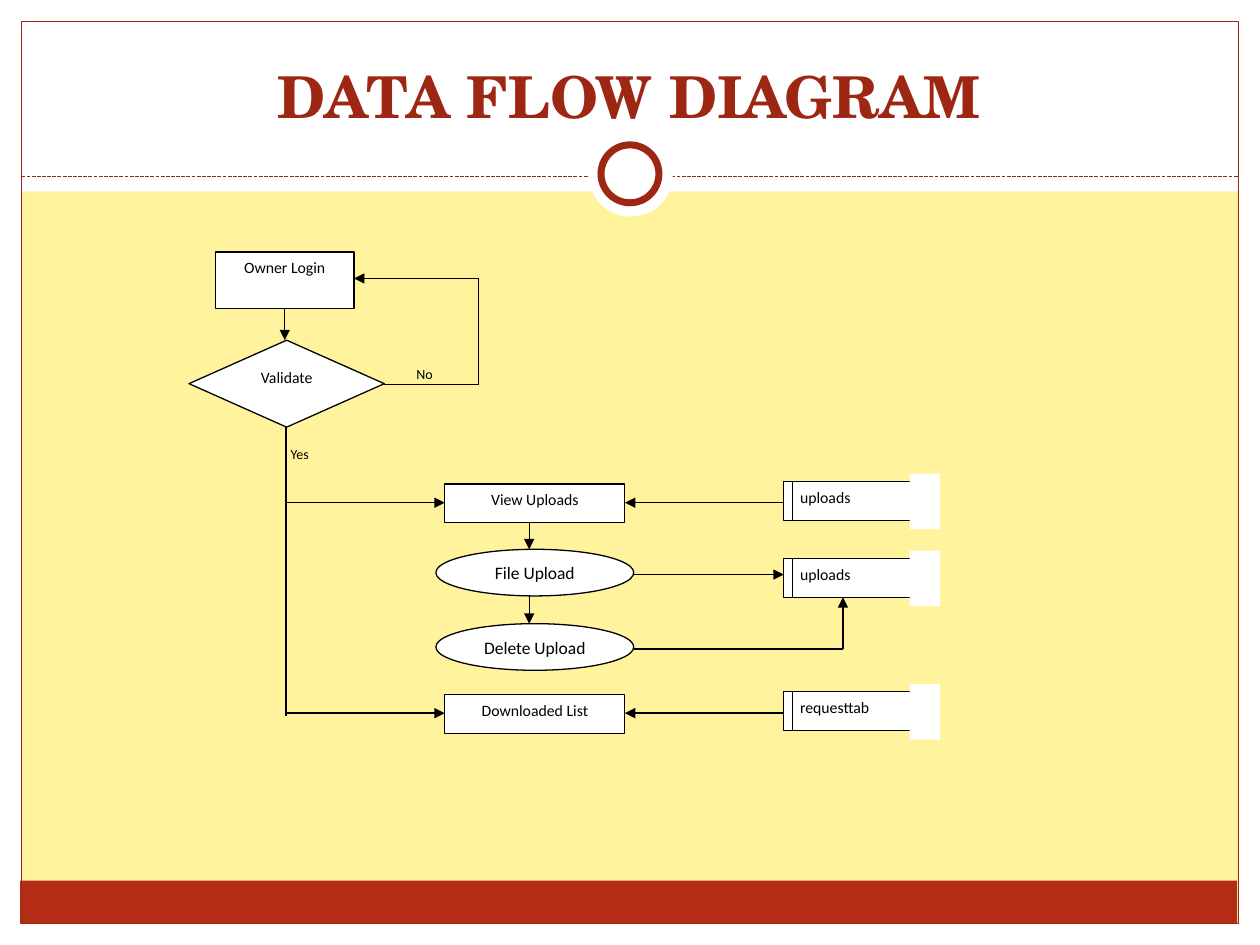
from lxml.etree import SubElement
from pptx import Presentation
from pptx.dml.color import RGBColor
from pptx.enum.dml import MSO_LINE
from pptx.enum.shapes import MSO_CONNECTOR, MSO_SHAPE
from pptx.enum.text import MSO_ANCHOR, PP_ALIGN
from pptx.oxml.ns import qn
from pptx.util import Inches, Pt

COLORS = {
    "paper": "FFF39D",
    "white": "FFFFFF",
    "band": "B32C16",
    "accent": "9E2713",
    "ink": "000000",
}
BODY_FONT = "Calibri"
TITLE_FONT = "TeX Gyre Schola"
STORE_LEFT, STORE_WIDTH, STORE_HEIGHT = 6.22, 1.1, 0.31


def color(name):
    return RGBColor.from_string(COLORS[name])


def format_font(font, **values):
    for name, value in values.items():
        setattr(font, name, value)


def add_box(slide, kind, bounds, fill="white", line=None, line_width=0.75):
    shape = slide.shapes.add_shape(kind, *map(Inches, bounds))
    shape.shadow.inherit = False
    if fill:
        shape.fill.solid()
        shape.fill.fore_color.rgb = color(fill)
    else:
        shape.fill.background()
    if line:
        shape.line.color.rgb = color(line)
        shape.line.width = Pt(line_width)
    else:
        shape.line.fill.background()
    return shape


def write_text(shape, text, size, align=PP_ALIGN.CENTER, left_margin=0.1):
    frame = shape.text_frame
    frame.word_wrap = True
    frame.vertical_anchor = MSO_ANCHOR.TOP
    frame.margin_left = Inches(left_margin)
    paragraph = frame.paragraphs[0]
    paragraph.alignment = align
    paragraph.space_after = Pt(10)
    run = paragraph.add_run()
    run.text = text
    format_font(run.font, name=BODY_FONT, size=Pt(size))
    run.font.color.rgb = color("ink")


def add_node(slide, kind, bounds, text, size=9):
    write_text(add_box(slide, kind, bounds, line="ink"), text, size)


def add_label(slide, left, top, text):
    label = slide.shapes.add_textbox(*map(Inches, (left, top, 0.46, 0.31)))
    write_text(label, text, 8)


def add_line(slide, start, end, arrow=False, line="ink"):
    connector = slide.shapes.add_connector(
        MSO_CONNECTOR.STRAIGHT, *map(Inches, start + end))
    connector.line.color.rgb = color(line)
    connector.line.width = Pt(0.75)
    properties = connector._element.spPr
    if arrow:
        SubElement(properties.find(qn("a:ln")), qn("a:tailEnd"), type="triangle")
    SubElement(properties, qn("a:effectLst"))
    return connector


def add_route(slide, *points):
    """Join the points with straight lines, with an arrowhead at the last."""
    for start, end in zip(points, points[1:]):
        add_line(slide, start, end, arrow=end == points[-1])


def add_data_store(slide, top, text):
    """Draw a box with a rule at its left and its right edge masked open."""
    box = add_box(slide, MSO_SHAPE.RECTANGLE,
                  (STORE_LEFT, top, STORE_WIDTH, STORE_HEIGHT), line="ink")
    write_text(box, text, 9, PP_ALIGN.LEFT, left_margin=0.13)
    add_box(slide, MSO_SHAPE.RECTANGLE, (STORE_LEFT + 1, top - 0.06, 0.24, 0.44))
    rule = STORE_LEFT + 0.07
    add_line(slide, (rule, top), (rule, top + STORE_HEIGHT))


def add_frame(slide):
    slide.background.fill.solid()
    slide.background.fill.fore_color.rgb = color("paper")
    for bounds in ((0, 7.33, 10, 0.17), (0, 0, 10, 1.52),
                   (0, 0, 0.17, 7.5), (9.83, 0, 0.17, 7.5)):
        add_box(slide, MSO_SHAPE.RECTANGLE, bounds)
    add_box(slide, MSO_SHAPE.RECTANGLE, (0.16, 6.99, 9.66, 0.34), fill="band")
    add_box(slide, MSO_SHAPE.RECTANGLE, (0.17, 0.17, 9.66, 7.16),
            fill=None, line="accent")
    divider = add_line(slide, (0.17, 1.4), (9.83, 1.4), line="accent")
    divider.line.dash_style = MSO_LINE.SQUARE_DOT
    add_box(slide, MSO_SHAPE.OVAL, (4.67, 1.05, 0.67, 0.67))
    add_box(slide, MSO_SHAPE.OVAL, (4.77, 1.15, 0.46, 0.46),
            line="accent", line_width=4)


def set_title(slide, text):
    title = slide.shapes.title
    bounds = {"left": 0.33, "top": 0.25, "width": 9.33, "height": 0.83}
    for name, value in bounds.items():
        setattr(title, name, Inches(value))
    title.text_frame.text = text
    title.text_frame.vertical_anchor = MSO_ANCHOR.BOTTOM
    paragraph = title.text_frame.paragraphs[0]
    paragraph.alignment = PP_ALIGN.CENTER
    font = paragraph.runs[0].font
    format_font(font, name=TITLE_FONT, size=Pt(33), bold=True)
    font.color.rgb = color("accent")


def add_nodes(slide):
    add_node(slide, MSO_SHAPE.RECTANGLE, (1.71, 2, 1.1, 0.45), "Owner Login")
    add_node(slide, MSO_SHAPE.DIAMOND, (1.5, 2.7, 1.55, 0.69), "Validate")
    for top, text in ((3.84, "View Uploads"), (5.51, "Downloaded List")):
        add_node(slide, MSO_SHAPE.RECTANGLE, (3.53, top, 1.43, 0.31), text)
    for top, text in ((4.36, "File Upload"), (4.95, "Delete Upload")):
        add_node(slide, MSO_SHAPE.OVAL, (3.46, top, 1.57, 0.37), text, size=10)
    for top, text in ((3.82, "uploads"), (4.43, "uploads"), (5.49, "requesttab")):
        add_data_store(slide, top, text)
    add_label(slide, 3.14, 2.85, "No")
    add_label(slide, 2.15, 3.49, "Yes")


def add_flows(slide):
    add_route(slide, (2.26, 2.45), (2.26, 2.7))
    add_route(slide, (3.05, 3.05), (3.8, 3.05), (3.8, 2.21), (2.81, 2.21))
    add_line(slide, (2.27, 3.39), (2.27, 5.68))
    for y in (3.99, 5.66):
        add_route(slide, (2.27, y), (3.53, y))
        add_route(slide, (STORE_LEFT, y), (4.96, y))
    for top, bottom in ((4.15, 4.36), (4.73, 4.95)):
        add_route(slide, (4.2, top), (4.2, bottom))
    add_route(slide, (5.03, 4.56), (STORE_LEFT, 4.56))
    add_route(slide, (5.03, 5.15), (6.69, 5.15), (6.69, 4.74))


def main():
    presentation = Presentation()
    presentation.slide_width = Inches(10)
    presentation.slide_height = Inches(7.5)
    slide = presentation.slides.add_slide(presentation.slide_layouts[5])
    add_frame(slide)
    set_title(slide, "DATA FLOW DIAGRAM")
    # The title placeholder comes first, so lift it above the white header band.
    slide.shapes._spTree.append(slide.shapes.title._element)
    add_nodes(slide)
    add_flows(slide)
    presentation.save("out.pptx")


if __name__ == "__main__":
    main()
